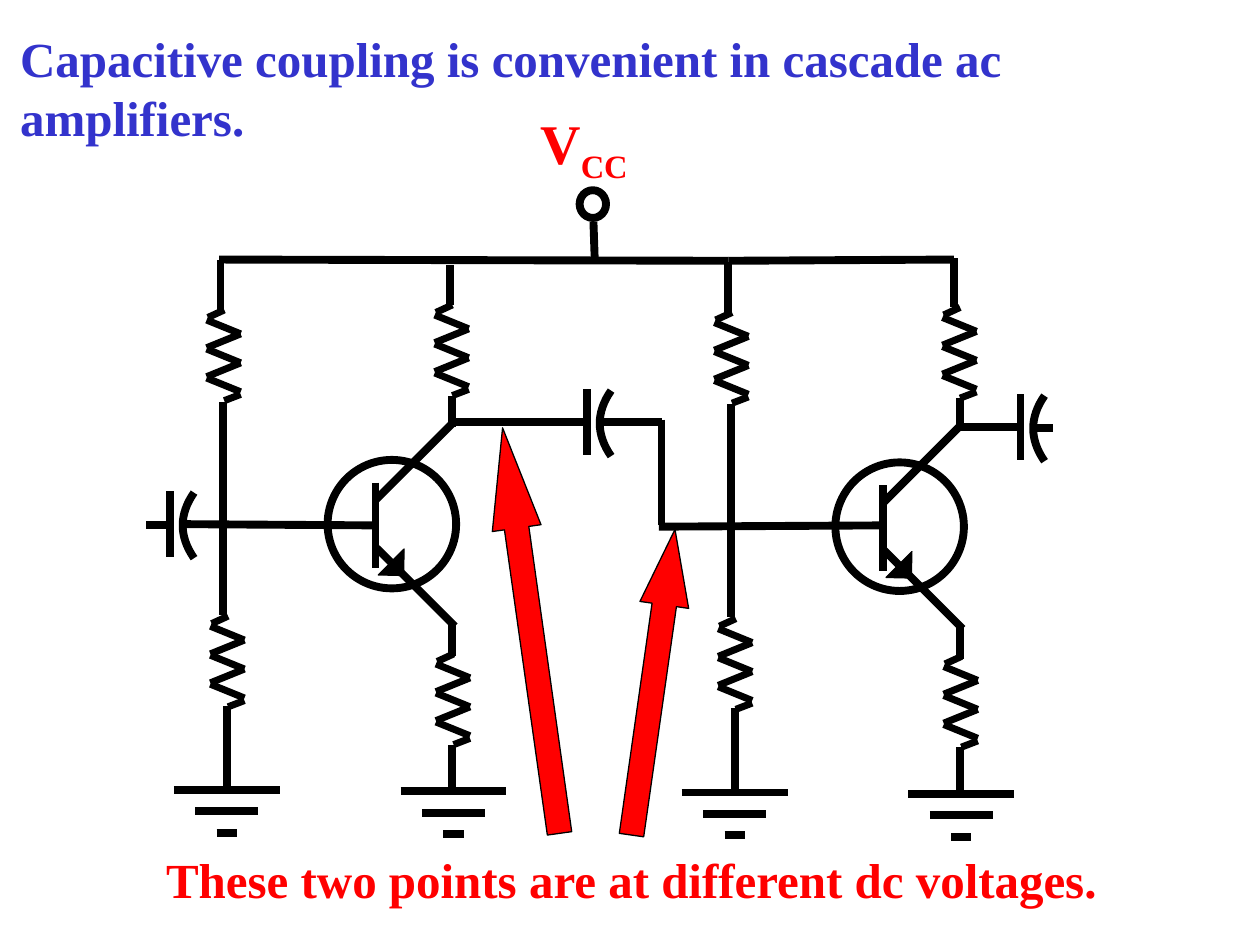
from dataclasses import dataclass
from itertools import pairwise

from lxml.etree import SubElement
from pptx import Presentation
from pptx.dml.color import RGBColor
from pptx.enum.shapes import MSO_CONNECTOR, MSO_SHAPE
from pptx.enum.text import MSO_ANCHOR, MSO_AUTO_SIZE, PP_ALIGN
from pptx.oxml.ns import qn
from pptx.util import Cm, Pt


@dataclass(frozen=True)
class Theme:
    font: str = "Times New Roman"
    ink: RGBColor = RGBColor(0, 0, 0)
    red: RGBColor = RGBColor(255, 0, 0)
    blue: RGBColor = RGBColor(0x33, 0x33, 0xCC)
    text: Pt = Pt(28)
    label: Pt = Pt(32)
    wire: Pt = Pt(4.5)
    zigzag: Pt = Pt(4)
    outline: Pt = Pt(0.75)


T = Theme()
STAGE_DX, STAGE_DY = 4.03, 0.02


def inch(v):
    return Cm(v * 2.54)


def wire(shapes, x1, y1, x2, y2, width=T.wire):
    c = shapes.add_connector(MSO_CONNECTOR.STRAIGHT, inch(x1), inch(y1), inch(x2), inch(y2))
    c.line.color.rgb = T.ink
    c.line.width = width
    SubElement(c._element.spPr, qn("a:effectLst"))


def style(sp, fill, width):
    sp.shadow.inherit = False
    if fill is None:
        sp.fill.background()
    else:
        sp.fill.solid()
        sp.fill.fore_color.rgb = fill
    sp.line.color.rgb = T.ink
    sp.line.width = width


def shape(shapes, kind, x, y, w, h, fill=None, width=T.wire, rot=0):
    sp = shapes.add_shape(kind, inch(x), inch(y), inch(w), inch(h))
    style(sp, fill, width)
    sp.rotation = rot
    return sp


def resistor(s, x, y):
    shapes = s.shapes.add_group_shape().shapes
    left, right, mid = x, x + 0.27, x + 0.14
    wire(shapes, mid, y, left + 0.01, y + 0.06, T.zigzag)
    for i in range(3):
        top = y + 0.08 + 0.23 * i
        wire(shapes, left, top, right, top + 0.11, T.zigzag)
        if i < 2:
            wire(shapes, right, top + 0.11, left, top + 0.22, T.zigzag)
    wire(shapes, right, y + 0.67, mid, y + 0.72, T.zigzag)


def ground(s, x, y):
    shapes = s.shapes.add_group_shape().shapes
    for i, half in enumerate((0.42, 0.25, 0.08)):
        bar_y = y + 0.17 * i
        wire(shapes, x - half, bar_y, x + half, bar_y)


def capacitor(s, x, y):
    shapes = s.shapes.add_group_shape().shapes
    wire(shapes, x, y - 0.26, x, y + 0.26)
    steps = [i / 8 for i in range(-8, 9)]
    points = [(inch(x + 0.1 + 0.09 * t * t), inch(y + 0.01 + 0.26 * t)) for t in steps]
    fb = shapes.build_freeform(*points[0])
    fb.add_line_segments(points[1:], close=False)
    style(fb.convert_to_shape(), None, T.wire)


def transistor(s, x, y):
    shape(s.shapes, MSO_SHAPE.OVAL, x, y, 1.02, 1.02)
    wire(s.shapes, x + 0.38, y + 0.32, x + 1, y - 0.3)
    wire(s.shapes, x + 0.38, y + 0.18, x + 0.38, y + 0.86)
    emitter = s.shapes.add_group_shape().shapes
    wire(emitter, x + 0.39, y + 0.7, x + 1.01, y + 1.32)
    shape(emitter, MSO_SHAPE.RIGHT_TRIANGLE, x + 0.4, y + 0.71, 0.21, 0.2,
          T.ink, T.outline, 271.3)


def stage(s, dx, dy):
    transistor(s, 2.6 + dx, 3.65 + dy)
    for x, y in ((3.45, 2.42), (1.64, 2.46), (3.46, 5.19), (1.67, 4.89)):
        resistor(s, x + dx, y + dy)
    for x, y in ((3.6, 6.28), (1.8, 6.27)):
        ground(s, x + dx, y + dy)
    verticals = (
        (1.75, 2.06, 2.47), (1.77, 3.19, 4.88), (1.8, 5.6, 6.27),
        (3.59, 3.14, 3.39), (3.59, 4.95, 5.21), (3.59, 5.91, 6.29),
    )
    for x, top, bottom in verticals:
        wire(s.shapes, x + dx, top + dy, x + dx, bottom + dy)


def supply(s):
    shape(s.shapes, MSO_SHAPE.OVAL, 4.6, 1.51, 0.21, 0.22)
    wire(s.shapes, 4.71, 1.76, 4.72, 2.05)
    for start, end in pairwise(((1.74, 2.06), (5.78, 2.07), (7.57, 2.06))):
        wire(s.shapes, *start, *end)
    wire(s.shapes, 3.57, 2.42, 3.57, 2.1)
    wire(s.shapes, 7.57, 2.44, 7.57, 2.05)


def coupling(s):
    for x, y in ((1.35, 4.16), (4.66, 3.35), (8.1, 3.39)):
        capacitor(s, x, y)
    links = (
        (1.16, 4.17, 1.32, 4.17), (2.96, 4.17, 1.45, 4.16),
        (4.64, 3.35, 3.56, 3.35), (5.25, 3.35, 4.78, 3.35),
        (5.25, 3.33, 5.25, 4.17), (7.01, 4.17, 5.23, 4.18),
        (7.61, 3.39, 8.08, 3.39), (8.2, 3.4, 8.36, 3.4),
    )
    for link in links:
        wire(s.shapes, *link)


def pointer(s, x, y, h, head, rot):
    sp = shape(s.shapes, MSO_SHAPE.UP_ARROW, x, y, 0.39, h, T.red, T.outline, rot)
    sp.adjustments[0] = 0.5
    sp.adjustments[1] = head


def write(sp, box, text, size, color, sub=""):
    sp.left, sp.top, sp.width, sp.height = map(inch, box)
    tf = sp.text_frame
    tf.word_wrap = False
    tf.auto_size = MSO_AUTO_SIZE.NONE
    tf.vertical_anchor = MSO_ANCHOR.TOP
    p = tf.paragraphs[0]
    p.alignment = PP_ALIGN.LEFT
    p.font.name = T.font
    p.font.size = size
    p.font.bold = True
    p.font.color.rgb = color
    p.add_run().text = text
    if sub:
        r = p.add_run()
        r.text = sub
        r.font._element.set("baseline", "-25000")


def main():
    prs = Presentation()
    prs.slide_width, prs.slide_height = Cm(25.4), Cm(19.05)
    s = prs.slides.add_slide(prs.slide_layouts[5])
    write(s.shapes.title, (0.06, 0.18, 9.86, 0.57),
          "Capacitive coupling is convenient in cascade ac amplifiers.", T.text, T.blue)
    for i in range(2):
        stage(s, i * STAGE_DX, i * STAGE_DY)
    supply(s)
    coupling(s)
    write(s.shapes.add_textbox(0, 0, 0, 0), (4.19, 0.81, 0.89, 0.71), "V", T.label, T.red, "CC")
    write(s.shapes.add_textbox(0, 0, 0, 0), (1.22, 6.69, 7.6, 0.57),
          "These two points are at different dc voltages.", T.text, T.red)
    pointer(s, 4.02, 3.38, 3.25, 2.06, 352)
    pointer(s, 4.99, 4.19, 2.45, 1.55, 8.1)
    prs.save("out.pptx")


if __name__ == "__main__":
    main()
